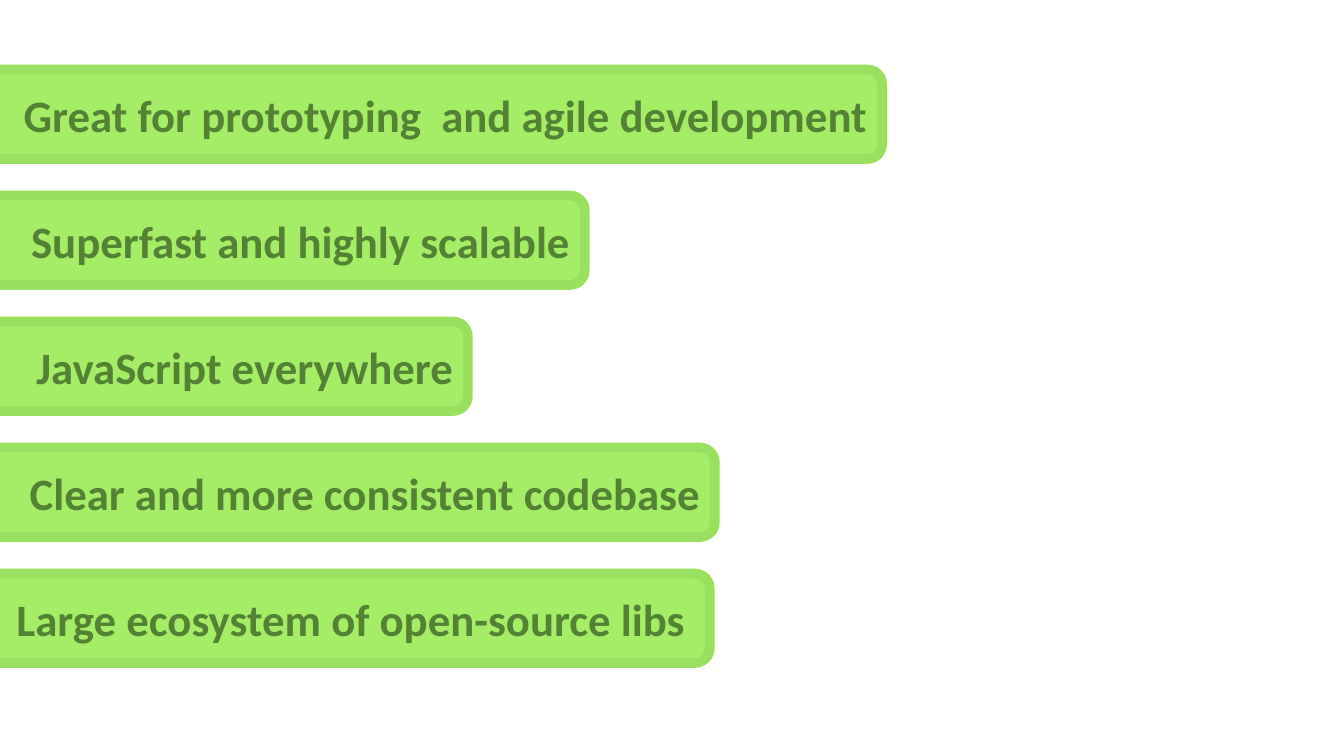
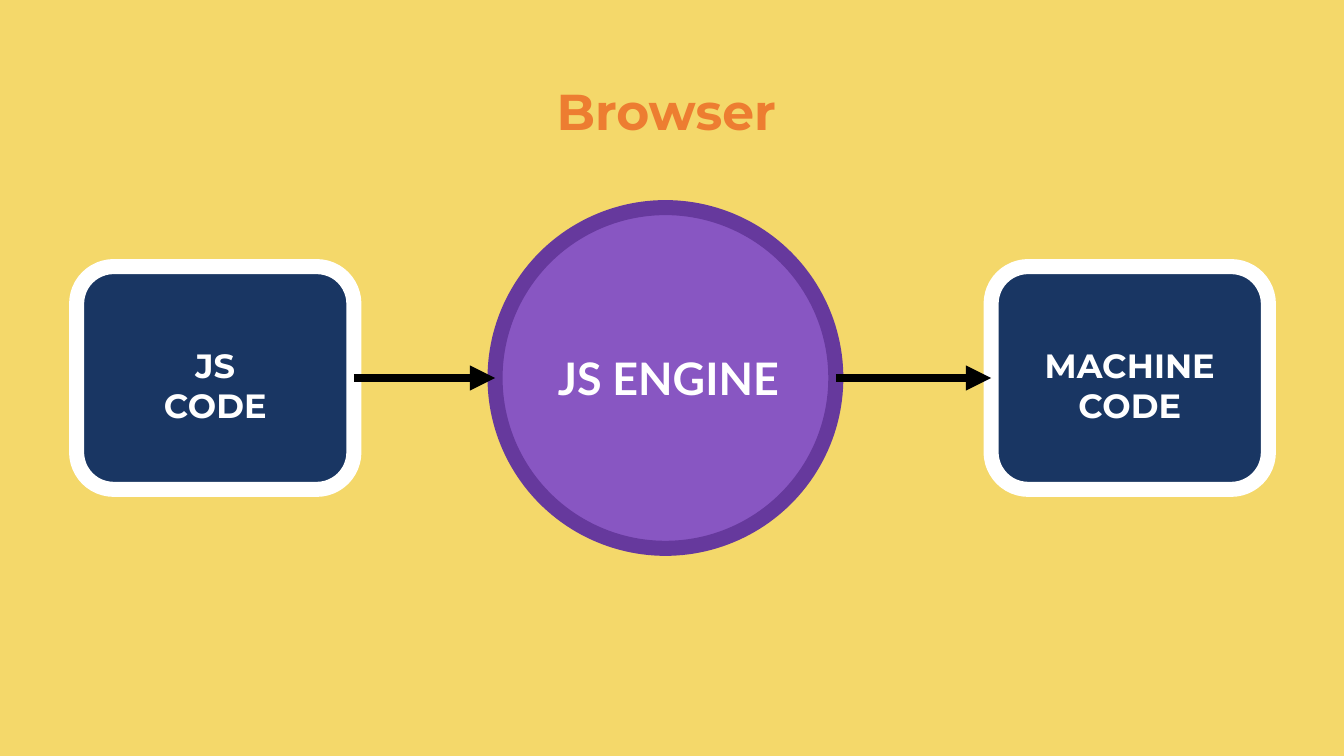
import pptx
import pptx.util
import pptx.dml.color
import pptx.enum.shapes
import pptx.enum.text
import pptx.oxml
import pptx.oxml.ns
import lxml.etree

RGBColor = pptx.dml.color.RGBColor
Shape = pptx.enum.shapes.MSO_SHAPE
Align = pptx.enum.text.PP_ALIGN
Anchor = pptx.enum.text.MSO_ANCHOR
Inches = pptx.util.Inches
Pt = pptx.util.Pt

WHITE = RGBColor(0xFF, 0xFF, 0xFF)
BLACK = RGBColor(0x00, 0x00, 0x00)
LIME = RGBColor(0xA5, 0xED, 0x66)
LIME_EDGE = RGBColor(0x99, 0xE0, 0x60)
LEAF = RGBColor(0x54, 0x82, 0x35)
SAND = RGBColor(0xF4, 0xD8, 0x6A)
PURPLE = RGBColor(0x88, 0x56, 0xC2)
PURPLE_EDGE = RGBColor(0x66, 0x39, 0x9D)
NAVY = RGBColor(0x19, 0x36, 0x63)
ORANGE = RGBColor(0xED, 0x7D, 0x31)

SLIDE_WIDTH, SLIDE_HEIGHT = 13.33, 7.5
TITLE_ONLY, BLANK = 5, 6
BAR_WIDTH, BAR_FILL_SHARE = 9.77, 0.71
EDGE_WIDTH = 10.75

BENEFITS = [
    ("Great for prototyping  and agile development", 8.75),
    ("Superfast and highly scalable", 5.8),
    ("JavaScript everywhere", 4.64),
    ("Clear and more consistent codebase", 7.09),
    ("Large ecosystem of open-source libs ", 7.04),
]


def add_page(deck, layout, background):
    """Add a slide with a plain background colour."""
    page = deck.slides.add_slide(deck.slide_layouts[layout])
    page.background.fill.solid()
    page.background.fill.fore_color.rgb = background
    return page


def write(frame, text, font, size, color, align):
    """Fill a text frame with bold, unwrapped text in one style."""
    frame.text = text
    frame.word_wrap = False
    for para in frame.paragraphs:
        para.alignment = align
        for span in para.runs:
            span.font.name = font
            span.font.size = Pt(size)
            span.font.bold = True
            span.font.color.rgb = color


def add_panel(page, kind, box, fill, edge, edge_width):
    """Add a flat outlined shape in a box of left, top, width and height."""
    panel = page.shapes.add_shape(kind, *map(Inches, box))
    panel.shadow.inherit = False
    panel.fill.solid()
    panel.fill.fore_color.rgb = fill
    panel.line.color.rgb = edge
    panel.line.width = Pt(edge_width)
    panel.text_frame.vertical_anchor = Anchor.MIDDLE
    return panel


def add_arrow(page, start, end):
    """Add a thick black arrow between two points."""
    arrow = page.shapes.add_connector(
        pptx.enum.shapes.MSO_CONNECTOR.STRAIGHT, *map(Inches, start + end))
    arrow.line.color.rgb = BLACK
    arrow.line.width = Pt(6)
    head = lxml.etree.SubElement(
        arrow.line._get_or_add_ln(), pptx.oxml.ns.qn("a:tailEnd"))
    head.set("type", "triangle")
    lxml.etree.SubElement(
        arrow._element.spPr, pptx.oxml.ns.qn("a:effectLst"))
    return arrow


def add_title(page, text, box):
    """Move the title placeholder to a box and style its text."""
    title = page.shapes.title
    title.left, title.top, title.width, title.height = map(Inches, box)
    title.text_frame.auto_size = pptx.enum.text.MSO_AUTO_SIZE.NONE
    title.text_frame.vertical_anchor = Anchor.TOP
    write(title.text_frame, text, "Montserrat", 36, ORANGE, Align.LEFT)


def add_benefit_bars(page, top, pitch):
    """Stack bars that enter from the left edge, each to its own right end."""
    for row, (text, right) in enumerate(BENEFITS):
        box = (right - BAR_WIDTH, top + row * pitch,
               BAR_WIDTH, pitch * BAR_FILL_SHARE)
        bar = add_panel(page, Shape.ROUNDED_RECTANGLE, box, LIME, LIME_EDGE, 7)
        write(bar.text_frame, text, "Calibri", 32, LEAF, Align.RIGHT)


def add_engine_flow(page, box):
    """Draw code, engine and machine code from left to right in a box."""
    left, top, width, height = box
    middle = top + height / 2
    block_width, block_height = 2.75, 2.21
    engine_left = left + 4.15
    machine_left = left + width - block_width

    engine = add_panel(page, Shape.OVAL, (engine_left, top, height, height),
                       PURPLE, PURPLE_EDGE, EDGE_WIDTH)
    engine.text_frame.margin_left = Inches(0.16)
    write(engine.text_frame, "JS ENGINE", "Lato", 32, WHITE, Align.CENTER)

    blocks = []
    for text, block_left in (("JS\nCODE", left),
                             ("MACHINE\nCODE", machine_left)):
        block = add_panel(
            page, Shape.ROUNDED_RECTANGLE,
            (block_left, middle - block_height / 2, block_width, block_height),
            NAVY, WHITE, EDGE_WIDTH)
        block.text_frame.margin_top = Inches(0.19)
        write(block.text_frame, text, "Montserrat", 24, WHITE, Align.CENTER)
        blocks.append(block)

    code, machine = blocks
    into_engine = add_arrow(page, (left + block_width, middle),
                            (engine_left, middle))
    into_engine.begin_connect(code, 3)
    out_of_engine = add_arrow(page, (engine_left + height, middle),
                              (machine_left, middle))
    out_of_engine.end_connect(machine, 1)


def main():
    """Build and save both slides."""
    deck = pptx.Presentation()
    deck.slide_width = Inches(SLIDE_WIDTH)
    deck.slide_height = Inches(SLIDE_HEIGHT)

    benefits = add_page(deck, BLANK, WHITE)
    add_benefit_bars(benefits, 0.69, SLIDE_HEIGHT / 6)

    browser = add_page(deck, TITLE_ONLY, SAND)
    add_title(browser, "Browser", (5.42, 0.74, 2.5, 0.71))
    add_engine_flow(browser, (0.76, 2.06, 11.82, 3.38))

    deck.save("out.pptx")


if __name__ == "__main__":
    main()
